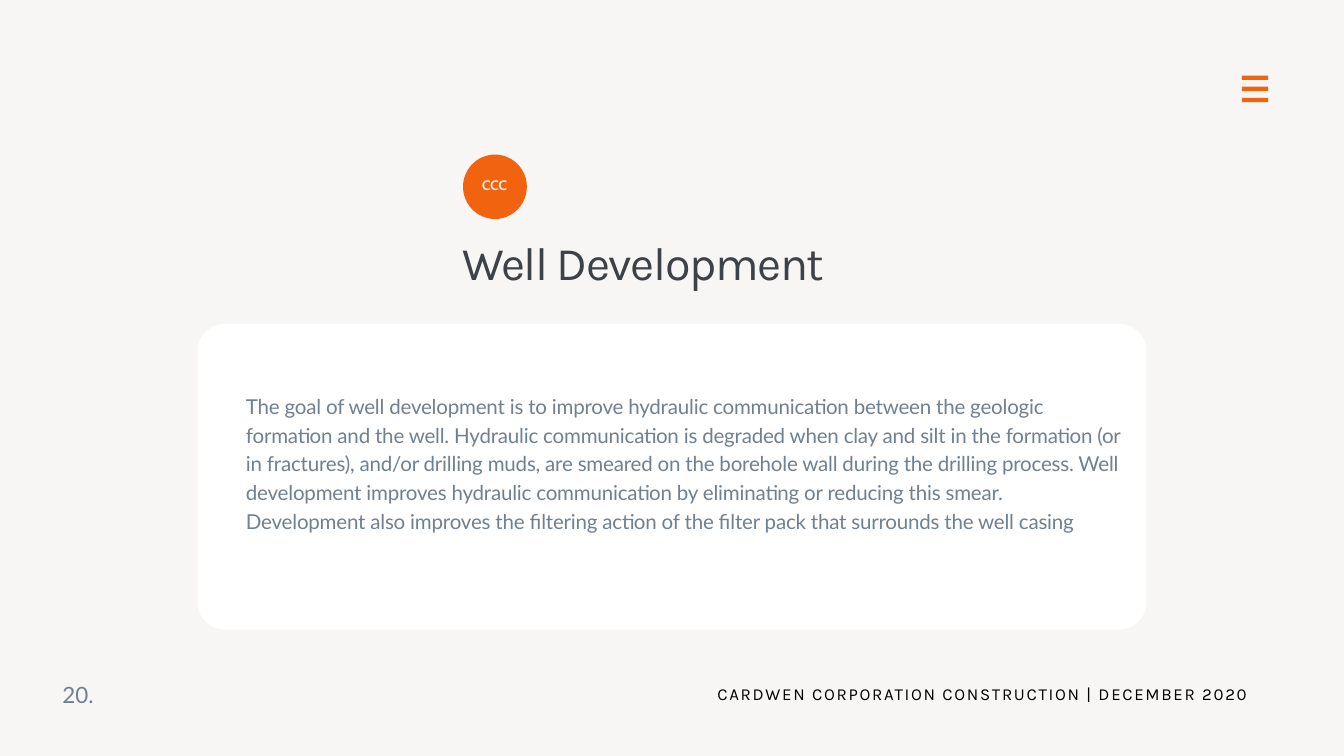
"""Build the Well Development slide with its menu icon, badge, text panel and footer."""
from typing import NamedTuple

from lxml.etree import SubElement
from pptx import Presentation
from pptx.dml.color import RGBColor
from pptx.enum.shapes import MSO_SHAPE as Preset
from pptx.enum.text import MSO_ANCHOR as Anchor, MSO_AUTO_SIZE as AutoSize, PP_ALIGN as Align
from pptx.oxml.ns import qn
from pptx.util import Inches, Pt

PAPER = RGBColor(0xF7, 0xF6, 0xF4)
ORANGE = RGBColor(0xF1, 0x63, 0x0F)
WHITE = RGBColor(0xFF, 0xFF, 0xFF)
SLATE = RGBColor(0x6F, 0x80, 0x90)
CHARCOAL = RGBColor(0x3D, 0x42, 0x48)
BLACK = RGBColor(0x00, 0x00, 0x00)

WIDTH, HEIGHT = Inches(20), Inches(11.25)
COLUMN, ROW = WIDTH / 100, HEIGHT / 100
MENU_TOP, MENU_STEP = 10, 1.47


class Area(NamedTuple):
    column: float
    row: float
    columns: float
    rows: float

    def emu(self) -> tuple[int, int, int, int]:
        return (round(self.column * COLUMN), round(self.row * ROW),
                round(self.columns * COLUMN), round(self.rows * ROW))


class Panel(NamedTuple):
    preset: Preset
    area: Area
    color: RGBColor
    rounding: float | None = None


class Label(NamedTuple):
    words: str
    area: Area
    font: str
    size: float
    leading: float
    color: RGBColor
    tracking: float = 0
    align: Align = Align.LEFT


PANELS = [
    *(Panel(Preset.RECTANGLE, Area(92.4, MENU_TOP + bar * MENU_STEP, 1.95, 0.57), ORANGE)
      for bar in range(3)),
    Panel(Preset.ROUNDED_RECTANGLE, Area(14.7, 42.84, 70.6, 40.44), WHITE, 0.09),
    Panel(Preset.OVAL, Area(34.45, 20.44, 4.75, 8.53), ORANGE),
]

TITLE = Label("Well Development", Area(34.4, 31.56, 29.65, 7.02),
              "Karla", 50, 55, CHARCOAL, -1.5)
GOAL = Label(
    "The goal of well development is to improve hydraulic communication between the "
    "geologic formation and the well. Hydraulic communication is degraded when clay and "
    "silt in the formation (or in fractures), and/or drilling muds, are smeared on the "
    "borehole wall during the drilling process. Well development improves hydraulic "
    "communication by eliminating or reducing this smear. Development also improves the "
    "filtering action of the filter pack that surrounds the well casing",
    Area(18.3, 51.56, 65.3, 22.58), "Lato", 22, 30.8, SLATE, -0.2)

LABELS = [
    Label("ccc", Area(34.9, 23.11, 3.8, 2.84), "Cabin", 20.9, 20.9, PAPER, -0.6, Align.CENTER),
    Label("20.", Area(4.65, 89.51, 24, 3.91), "Lato", 24, 33.6, SLATE),
    Label("CARDWEN CORPORATION CONSTRUCTION | DECEMBER 2020", Area(52.8, 90.04, 40.6, 3.02),
          "Karla", 18, 25.2, BLACK, 1.8, Align.CENTER),
]


def draw_panel(slide, panel: Panel) -> None:
    shape = slide.shapes.add_shape(panel.preset, *panel.area.emu())
    shape.shadow.inherit = False
    shape.fill.solid()
    shape.fill.fore_color.rgb = panel.color
    shape.line.fill.background()
    if panel.rounding is not None:
        shape.adjustments[0] = panel.rounding


def write_label(holder, label: Label) -> None:
    holder.left, holder.top, holder.width, holder.height = label.area.emu()
    frame = holder.text_frame
    frame.margin_left = frame.margin_right = frame.margin_top = frame.margin_bottom = 0
    frame.word_wrap = True
    frame.auto_size = AutoSize.NONE
    frame.vertical_anchor = Anchor.TOP
    paragraph = frame.paragraphs[0]
    paragraph.alignment = label.align
    paragraph.line_spacing = Pt(label.leading)
    paragraph.space_before = Pt(0)
    run = paragraph.add_run()
    run.text = label.words
    run.font.name = label.font
    run.font.size = Pt(label.size)
    run.font.color.rgb = label.color
    if label.tracking:
        run.font._element.set("spc", str(round(label.tracking * 100)))


def write_placeholder(holder, label: Label) -> None:
    holder.element.getparent().append(holder.element)
    properties = holder.text_frame.paragraphs[0]._p.get_or_add_pPr()
    properties.set("marL", "0")
    properties.set("indent", "0")
    SubElement(properties, qn("a:buNone"))
    write_label(holder, label)


def main() -> None:
    deck = Presentation()
    deck.slide_width, deck.slide_height = WIDTH, HEIGHT
    slide = deck.slides.add_slide(deck.slide_layouts[1])
    slide.background.fill.solid()
    slide.background.fill.fore_color.rgb = PAPER
    for panel in PANELS:
        draw_panel(slide, panel)
    write_placeholder(slide.placeholders[1], GOAL)
    write_placeholder(slide.shapes.title, TITLE)
    for label in LABELS:
        write_label(slide.shapes.add_textbox(*label.area.emu()), label)
    deck.save("out.pptx")


if __name__ == "__main__":
    main()
